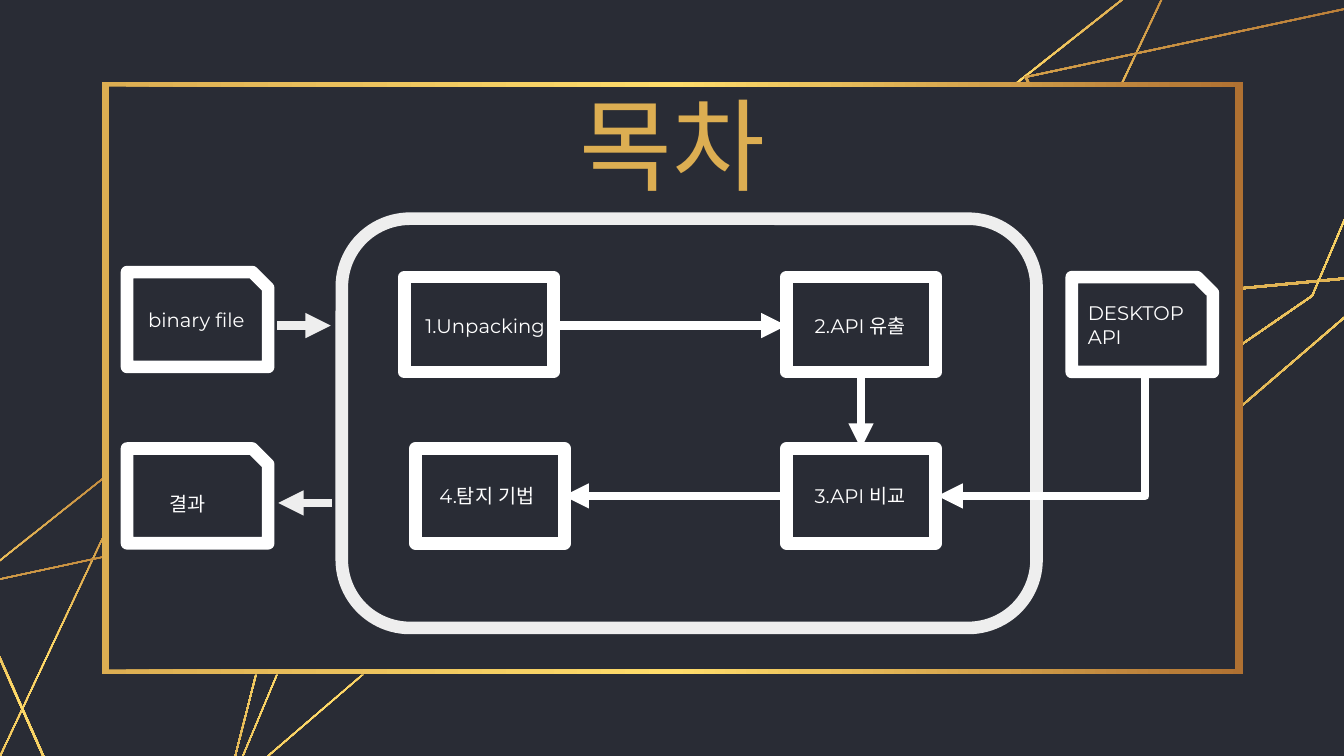
from lxml import etree
from pptx import Presentation, util as u
from pptx.dml.color import RGBColor
from pptx.enum import shapes as kinds, text as t
from pptx.oxml.ns import qn

NAVY = RGBColor(0x29, 0x2C, 0x35)
GOLD = RGBColor(0xDC, 0xAE, 0x52)
YELLOW = RGBColor(0xFF, 0xDD, 0x6B)
BRONZE = RGBColor(0xAF, 0x71, 0x32)
WHITE = RGBColor(0xFF, 0xFF, 0xFF)
PALE = RGBColor(0xEE, 0xEE, 0xEE)

# Content, in inches
TITLE = "목차"
CRYSTALS = [
    [(-0.7, 6.11), (1.36, 4.47), (2.73, 4.24), (2.96, 5.07), (2.32, 7.58), (-0.21, 7.82)],
    [(-0.14, 7.79), (1.43, 4.45), (3.63, 4.6), (2.39, 7.56), (0.91, 8.57)],
    [(-0.33, 5.81), (3.77, 4.93), (3.61, 6.69), (1.04, 8.9)],
    [(9.85, 1), (12.33, -0.96), (13.97, -1.25), (14.25, -0.25), (13.48, 2.76), (10.45, 3.05)],
    [(9.99, 3.22), (11.88, -0.78), (14.52, -0.6), (13.02, 2.94), (11.25, 4.16)],
    [(10.16, 0.76), (15.08, -0.29), (14.89, 1.82), (11.81, 4.47)],
]
FRAME_OUTER = (1.01, 0.81, 12.33, 6.69)
FRAME_INNER = (1.08, 0.86, 12.25, 6.64)

ROW_1, ROW_2 = 2.75, 4.45
FILE_W, STEP_W, NODE_H = 1.4, 1.48, 0.94
FILE, STEP = kinds.MSO_SHAPE.SNIP_1_RECTANGLE, kinds.MSO_SHAPE.RECTANGLE
# shape, left, top, width, label, label left, label top
NODES = [
    (FILE, 1.26, 2.7, FILE_W, "binary file", 1.37, 2.96),
    (STEP, 4.01, ROW_1, STEP_W, "1.Unpacking", 4.12, 3.01),
    (STEP, 7.8, ROW_1, STEP_W, "2.API 유출", 7.98, 3.01),
    (STEP, 7.8, ROW_2, STEP_W, "3.API 비교", 7.98, 4.7),
    (FILE, 10.63, ROW_1, FILE_W, "DESKTOP\nAPI", 10.69, 2.89),
    (STEP, 4.12, ROW_2, STEP_W, "4.탐지 기법", 4.26, 4.7),
    (FILE, 1.26, ROW_2, FILE_W, "결과", 1.58, 4.78),
]
STRAIGHT, ELBOW = kinds.MSO_CONNECTOR.STRAIGHT, kinds.MSO_CONNECTOR.ELBOW
MID_1, MID_2 = 3.23, 4.92
ARROWS = [
    (STRAIGHT, 2.75, MID_1, 3.28, MID_1, PALE),
    (STRAIGHT, 8.54, 3.7, 8.54, ROW_2, WHITE),
    (STRAIGHT, 5.49, MID_1, 7.8, MID_1, WHITE),
    (ELBOW, 11.36, 3.7, 9.3, MID_2, WHITE),
    (STRAIGHT, 7.8, MID_2, 5.59, MID_2, WHITE),
    (STRAIGHT, 3.29, 4.99, 2.76, 4.99, PALE),
]

prs = Presentation()
prs.slide_width, prs.slide_height = u.Inches(13.33), u.Inches(7.5)
slide = prs.slides.add_slide(prs.slide_layouts[6])
slide.background.fill.solid()
slide.background.fill.fore_color.rgb = NAVY


def add_xml(parent, tag, **attributes):
    return etree.SubElement(parent, qn(tag), attributes)


def corners(left, top, right, bottom):
    return [(left, top), (right, top), (right, bottom), (left, bottom)]


def shrink(points, share=0.01):
    cx, cy = (sum(axis) / len(points) for axis in zip(*points))
    return [(x + (cx - x) * share, y + (cy - y) * share) for x, y in points]


def to_emu(points):
    return [(u.Inches(x), u.Inches(y)) for x, y in points]


def add_ring(outer, inner, colors, angle):
    """Band between two outlines, filled with a three-stop gradient."""
    outer, inner = to_emu(outer), to_emu(inner[::-1])
    builder = slide.shapes.build_freeform(*outer[0])
    builder.add_line_segments(outer[1:], close=True)
    builder.move_to(*inner[0])
    builder.add_line_segments(inner[1:], close=True)
    ring = builder.convert_to_shape()
    ring.shadow.inherit = False
    ring.line.fill.background()
    ring.fill.gradient()
    gradient = ring._element.spPr.find(qn("a:gradFill"))
    for child in list(gradient):
        gradient.remove(child)
    stops = add_xml(gradient, "a:gsLst")
    for place, color in zip((0, 50000, 100000), colors):
        stop = add_xml(stops, "a:gs", pos=str(place))
        add_xml(stop, "a:srgbClr", val=str(color))
    add_xml(gradient, "a:lin", ang=str(angle * 60000), scaled="0")


def add_box(kind, left, top, width, height, fill=None, line=None):
    box = slide.shapes.add_shape(kind, *map(u.Inches, (left, top, width, height)))
    box.shadow.inherit = False
    if fill is None:
        box.fill.background()
    else:
        box.fill.solid()
        box.fill.fore_color.rgb = fill
    if line is None:
        box.line.fill.background()
    else:
        box.line.color.rgb = line
        box.line.width = u.Pt(9)
        add_xml(box.line._get_or_add_ln(), "a:round")


def add_text(words, left, top, width, height, size=14, font="Montserrat", color=WHITE,
             align=t.PP_ALIGN.LEFT, anchor=t.MSO_ANCHOR.TOP):
    frame = slide.shapes.add_textbox(*map(u.Inches, (left, top, width, height))).text_frame
    frame.word_wrap = True
    frame.vertical_anchor = anchor
    frame.margin_left = frame.margin_right = u.Inches(0.1)
    frame.margin_top = frame.margin_bottom = u.Inches(0.1)
    frame.text = words
    for paragraph in frame.paragraphs:
        paragraph.alignment = align
        for run in paragraph.runs:
            run.font.size, run.font.name = u.Pt(size), font
            run.font.color.rgb = color
            add_xml(run.font._element, "a:ea", typeface=font)


def add_arrow(kind, x1, y1, x2, y2, color):
    arrow = slide.shapes.add_connector(kind, *map(u.Inches, (x1, y1, x2, y2)))
    arrow.line.color.rgb = color
    arrow.line.width = u.Pt(6)
    ln = arrow.line._get_or_add_ln()
    add_xml(ln, "a:round")
    add_xml(ln, "a:tailEnd", type="triangle")
    properties = arrow._element.spPr
    add_xml(properties, "a:effectLst")
    if kind == ELBOW:  # turn at the very start, so the arrow drops first
        guides = properties.find(qn("a:prstGeom")).find(qn("a:avLst"))
        add_xml(guides, "a:gd", name="adj1", fmla="val 0")


# Golden crystals behind the panel
for crystal in CRYSTALS:
    add_ring(crystal, shrink(crystal), (BRONZE, YELLOW, GOLD), 90)

# Panel and its golden frame
add_box(STEP, 1.05, 0.84, 11.23, 5.85, fill=NAVY)
add_ring(corners(*FRAME_OUTER), corners(*FRAME_INNER), (GOLD, YELLOW, BRONZE), 0)

# Title
add_text(TITLE, 4.12, 0.68, 5.1, 1.49, size=72, font="Arial", color=GOLD,
         align=t.PP_ALIGN.CENTER, anchor=t.MSO_ANCHOR.MIDDLE)

# Process: enclosing outline, nodes with labels, arrows
add_box(kinds.MSO_SHAPE.ROUNDED_RECTANGLE, 3.39, 2.17, 6.89, 4.06, line=PALE)
for kind, left, top, width, label, label_left, label_top in NODES:
    add_box(kind, left, top, width, NODE_H, line=WHITE)
    label_height = 0.44 + 0.23 * label.count("\n")
    add_text(label, label_left, label_top, STEP_W, label_height)
for arrow in ARROWS:
    add_arrow(*arrow)

prs.save("out.pptx")
